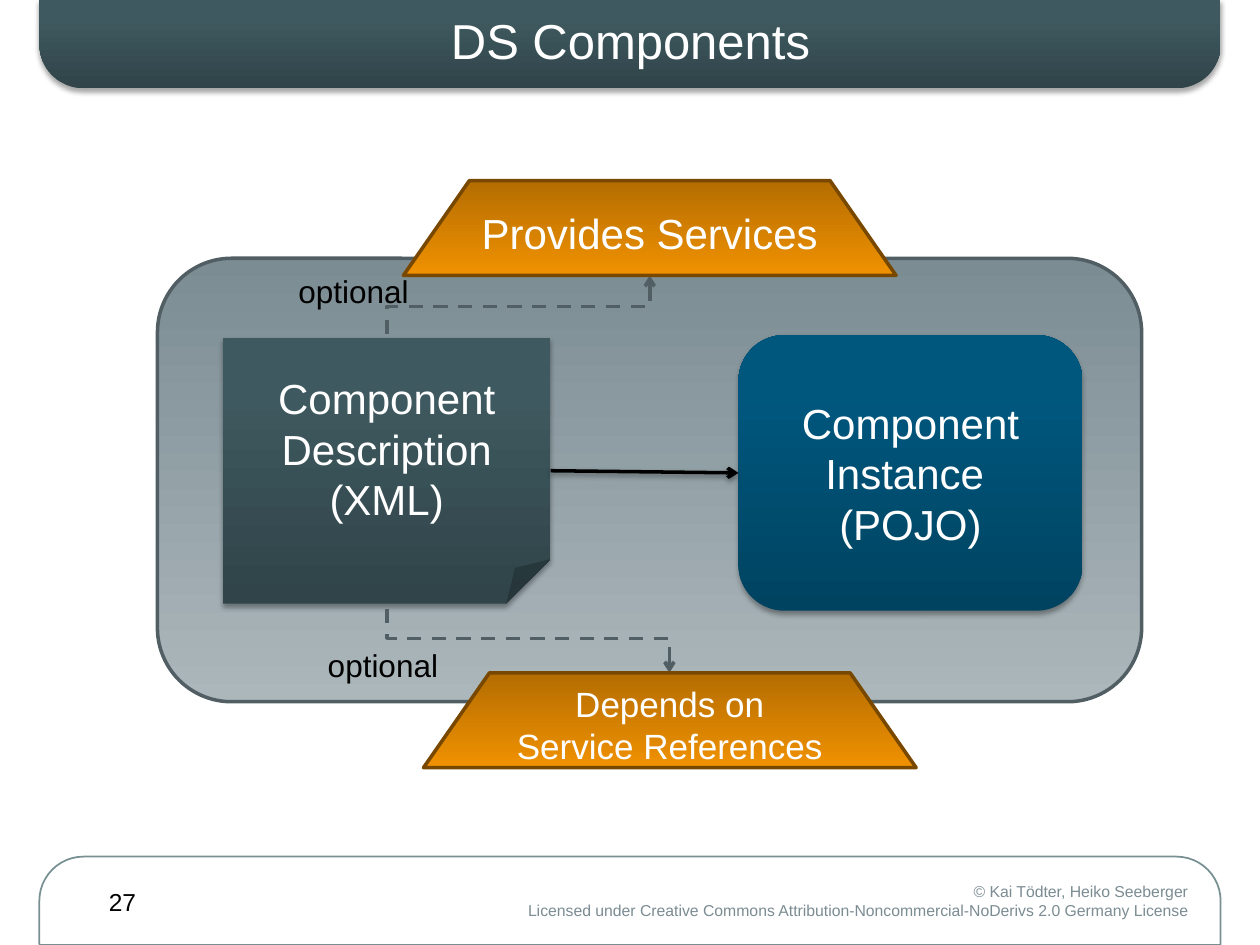
from dataclasses import dataclass
from typing import Any, Optional

import lxml.etree as etree
import pptx
import pptx.dml.color
import pptx.enum.dml
import pptx.enum.shapes
import pptx.enum.text
import pptx.oxml.ns
import pptx.util

Pt = pptx.util.Pt
qn = pptx.oxml.ns.qn
SHAPE = pptx.enum.shapes.MSO_SHAPE
CONNECTOR = pptx.enum.shapes.MSO_CONNECTOR
ALIGN = pptx.enum.text.PP_ALIGN
ANCHOR = pptx.enum.text.MSO_ANCHOR
AUTO_SIZE = pptx.enum.text.MSO_AUTO_SIZE
DASH = pptx.enum.dml.MSO_LINE.DASH

WHITE, BLACK, GREY, EDGE = "FFFFFF", "000000", "7B8C93", "515E63"


@dataclass(frozen=True)
class Gradient:
    """Two colours running down, or up from the bottom edge."""
    first: str
    last: str
    end: float = 1.0
    upward: bool = False


@dataclass(frozen=True)
class Text:
    words: str
    size: float
    color: str = WHITE
    align: Any = ALIGN.CENTER
    anchor: Any = ANCHOR.MIDDLE
    wrap: bool = True


@dataclass(frozen=True)
class Block:
    kind: Any
    box: tuple[float, float, float, float]
    fill: Optional[Gradient] = None
    line: Optional[tuple[str, float]] = None
    text: Optional[Text] = None
    adjust: tuple[float, ...] = ()
    rotation: float = 0
    shadow: bool = False


SLATE = Gradient("304449", "3E595F", 0.8, True)
BLUE = Gradient("004361", "00577E", 0.8, True)
ORANGE = Gradient("B46D01", "F09101")
SILVER = Gradient(GREY, "ACB7BB")


def rgb(color: str) -> pptx.dml.color.RGBColor:
    return pptx.dml.color.RGBColor.from_string(color)


def put_text(sp: Any, text: Text) -> None:
    tf = sp.text_frame
    tf.text = text.words
    frame_format = {"word_wrap": text.wrap, "auto_size": AUTO_SIZE.NONE,
                    "vertical_anchor": text.anchor}
    for name, value in frame_format.items():
        setattr(tf, name, value)
    font_format = {"name": "Arial", "size": Pt(text.size), "bold": False}
    for p in tf.paragraphs:
        p.alignment = text.align
        for r in p.runs:
            for name, value in font_format.items():
                setattr(r.font, name, value)
            r.font.color.rgb = rgb(text.color)


def add_shadow(effects: Any, alpha: int, distance: float) -> None:
    shadow = etree.SubElement(effects, qn("a:outerShdw"), {
        "blurRad": str(Pt(3.1)), "dist": str(Pt(distance)),
        "dir": "5400000", "rotWithShape": "0"})
    color = etree.SubElement(shadow, qn("a:srgbClr"), val=BLACK)
    etree.SubElement(color, qn("a:alpha"), val=str(alpha * 1000))


def add_block(s: Any, block: Block) -> Any:
    sp = s.shapes.add_shape(block.kind, *map(Pt, block.box))
    sp.rotation = block.rotation
    for i, value in enumerate(block.adjust):
        sp.adjustments[i] = value
    if block.fill:
        sp.fill.gradient()
        sp.fill.gradient_angle = 90 if block.fill.upward else 270
        first, last = sp.fill.gradient_stops
        first.color.rgb, first.position = rgb(block.fill.first), 0
        last.color.rgb, last.position = rgb(block.fill.last), block.fill.end
    else:
        sp.fill.background()
    if block.line:
        color, width = block.line
        sp.line.color.rgb, sp.line.width = rgb(color), Pt(width)
    else:
        sp.line.fill.background()
    sp.shadow.inherit = False
    if block.shadow:
        add_shadow(sp._element.spPr.find(qn("a:effectLst")), 35, 1.8)
    if block.text:
        put_text(sp, block.text)
    return sp


def add_label(s: Any, box: tuple[float, float, float, float], text: Text) -> None:
    put_text(s.shapes.add_textbox(*map(Pt, box)), text)


def style_arrow(c: Any, color: str) -> Any:
    """Colour the line, put the arrowhead at its start, return its effects."""
    c.line.color.rgb, c.line.width = rgb(color), Pt(2)
    sp_pr = c._element.spPr
    etree.SubElement(sp_pr.find(qn("a:ln")), qn("a:headEnd"), type="arrow")
    return etree.SubElement(sp_pr, qn("a:effectLst"))


def add_elbow(s: Any, start: tuple[float, float], end: tuple[float, float]) -> None:
    """Dashed elbow leaving vertically: a level elbow turned by a quarter."""
    (x1, y1), (x2, y2) = start, end
    mid_x, mid_y = (x1 + x2) / 2, (y1 + y2) / 2
    half_w, half_h = abs(y2 - y1) / 2, abs(x2 - x1) / 2
    down = y2 > y1
    if not down:
        half_h = -half_h
    c = s.shapes.add_connector(
        CONNECTOR.ELBOW, Pt(mid_x - half_w), Pt(mid_y - half_h),
        Pt(mid_x + half_w), Pt(mid_y + half_h))
    c._element.spPr.find(qn("a:xfrm")).set("rot", str((90 if down else 270) * 60000))
    c.line.dash_style = DASH
    style_arrow(c, EDGE)


def main() -> None:
    prs = pptx.Presentation()
    prs.slide_width, prs.slide_height = Pt(720), Pt(540)
    s = prs.slides.add_slide(prs.slide_layouts[5])

    # Header band with the title on it
    corners = (0.016, 0.5)
    header = add_block(s, Block(SHAPE.ROUND_2_SAME_RECTANGLE, (22.5, 0, 675, 50.5),
                                SLATE, adjust=corners, shadow=True))
    title = s.shapes.title
    title_box = {"left": 39.5, "top": 0, "width": 641.5, "height": 45.5}
    for name, value in title_box.items():
        setattr(title, name, Pt(value))
    put_text(title, Text("DS Components", 28))
    header._element.addnext(title._element)

    # Footer with licence and page number
    add_block(s, Block(SHAPE.ROUND_2_SAME_RECTANGLE, (22.5, 489.5, 675, 50.5),
                       line=("789092", 1), adjust=corners, rotation=180))
    add_label(s, (124, 500.5, 562, 29), Text(
        "© Kai Tödter, Heiko Seeberger\vLicensed under Creative Commons "
        "Attribution-Noncommercial-NoDerivs 2.0 Germany License",
        9, GREY, ALIGN.RIGHT, ANCHOR.TOP))
    add_label(s, (28, 500.5, 84, 29), Text("27", 14, BLACK))

    # Component with its instance and description
    add_block(s, Block(SHAPE.ROUNDED_RECTANGLE, (90, 147.6, 562.4, 253.4),
                       SILVER, (EDGE, 2)))
    instance = add_block(s, Block(
        SHAPE.ROUNDED_RECTANGLE, (422, 191.5, 196.6, 157.5), BLUE,
        text=Text("Component\nInstance \v(POJO)", 24, wrap=False), shadow=True))
    description = add_block(s, Block(
        SHAPE.FOLDED_CORNER, (127.4, 193, 187.2, 152), SLATE,
        text=Text("Component\nDescription\n(XML)", 24), shadow=True))

    # Arrows
    c = s.shapes.add_connector(CONNECTOR.STRAIGHT, 0, 0, 0, 0)
    c.begin_connect(instance, 1)
    c.end_connect(description, 3)
    add_shadow(style_arrow(c, BLACK), 38, 1.6)
    add_elbow(s, (371.3, 157.4), (221, 193))
    add_elbow(s, (382.5, 384.5), (221, 345))

    # Services above and below
    services = [(230.5, 103.2, "Provides Services", 24),
                (242, 384.5, "Depends on\vService References", 20)]
    for left, top, words, size in services:
        add_block(s, Block(SHAPE.TRAPEZOID, (left, top, 281.5, 54.2), ORANGE,
                           ("784800", 2), Text(words, size, wrap=False), (0.696,)))

    # Arrow labels
    for left, top in [(163.4, 152), (180.2, 365.8)]:
        add_label(s, (left, top, 90, 29),
                  Text("optional", 18, BLACK, ALIGN.LEFT, ANCHOR.TOP))

    prs.save("out.pptx")


if __name__ == "__main__":
    main()
